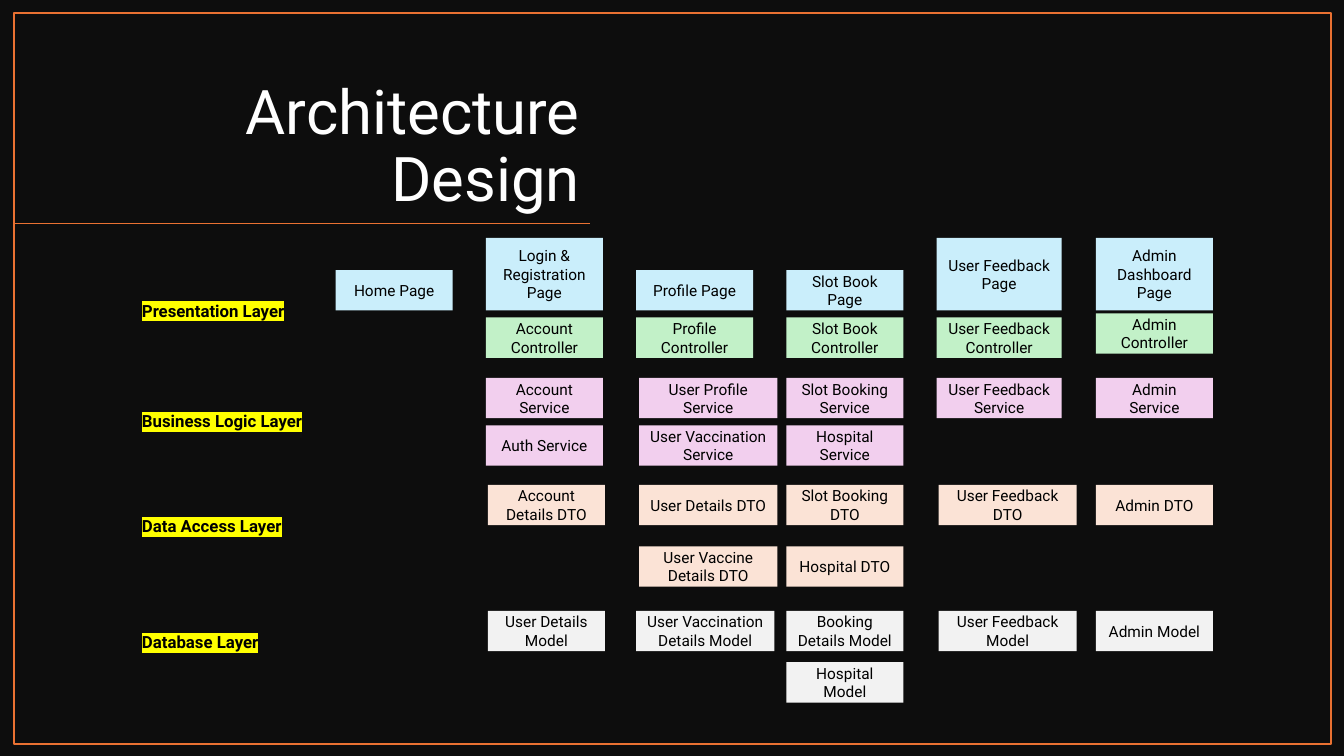
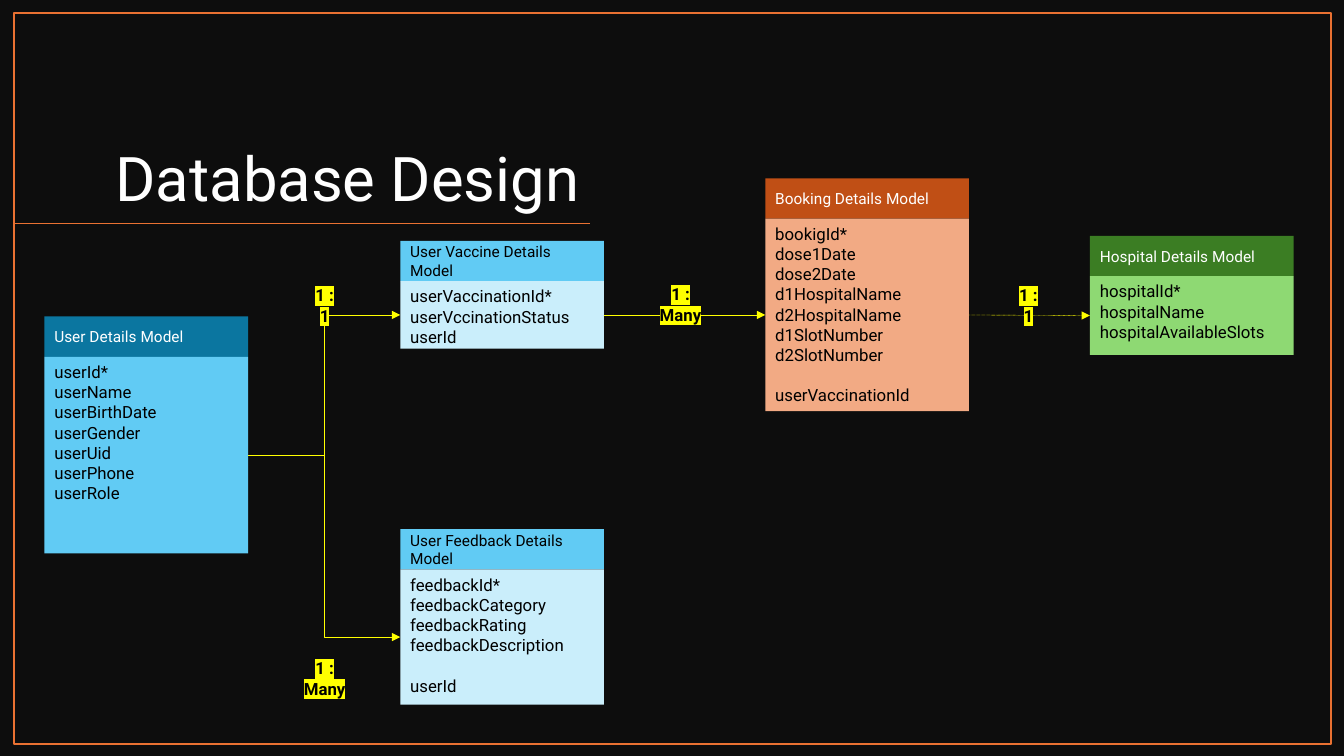
from lxml import etree
from pptx import Presentation
from pptx.dml.color import RGBColor
from pptx.enum.dml import MSO_LINE
from pptx.enum.shapes import MSO_CONNECTOR, MSO_SHAPE
from pptx.enum.text import MSO_ANCHOR, PP_ALIGN
from pptx.oxml.ns import qn
from pptx.util import Inches, Pt

RECT = MSO_SHAPE.RECTANGLE
STRAIGHT, ELBOW = MSO_CONNECTOR.STRAIGHT, MSO_CONNECTOR.ELBOW
DOTTED = MSO_LINE.ROUND_DOT
TOP, MIDDLE, BOTTOM = MSO_ANCHOR.TOP, MSO_ANCHOR.MIDDLE, MSO_ANCHOR.BOTTOM
LEFT, CENTER, RIGHT = PP_ALIGN.LEFT, PP_ALIGN.CENTER, PP_ALIGN.RIGHT

FONT = "Roboto"
BLACK, WHITE, DARK = "000000", "FFFFFF", "0D0D0D"
ORANGE, YELLOW = "E97132", "FFFF00"
NAVY, BLUE, PALE_BLUE = "0B76A0", "61CBF4", "CAEEFB"
RUST, PEACH = "C04F15", "F2AA84"
FOREST, GREEN = "3B7D23", "8ED973"
MINT, PINK, CREAM, GREY = "C2F1C8", "F2CFEE", "FBE3D6", "F2F2F2"

LEFT_SITE, RIGHT_SITE = 1, 3
BOX_HEIGHT = 0.4
HEADER_HEIGHT = 0.4
ENTITY_WIDTH = 2.02


def rgb(color):
    return RGBColor.from_string(color)


def write(shape, lines, size, color=BLACK, align=LEFT, anchor=TOP, bold=False):
    tf = shape.text_frame
    tf.word_wrap = True
    tf.vertical_anchor = anchor
    for i, line in enumerate(lines):
        p = tf.add_paragraph() if i else tf.paragraphs[0]
        p.add_run().text = line
        p.alignment = align
        p.font.name = FONT
        p.font.size = Pt(size)
        p.font.bold = bold
        p.font.color.rgb = rgb(color)
    return tf


def add_text(s, x, y, w, h, text, size, **style):
    tb = s.shapes.add_textbox(Inches(x), Inches(y), Inches(w), Inches(h))
    return write(tb, [text], size, **style)


def add_rect(s, x, y, w, h, fill=None, line=None):
    sp = s.shapes.add_shape(RECT, Inches(x), Inches(y), Inches(w), Inches(h))
    sp.shadow.inherit = False
    if fill:
        sp.fill.solid()
        sp.fill.fore_color.rgb = rgb(fill)
    else:
        sp.fill.background()
    if line:
        sp.line.color.rgb = rgb(line)
        sp.line.width = Pt(1)
    else:
        sp.line.fill.background()
    return sp


def add_line(s, kind, color, width, x1=0, y1=0, x2=0, y2=0):
    line = s.shapes.add_connector(
        kind, Inches(x1), Inches(y1), Inches(x2), Inches(y2))
    line.line.color.rgb = rgb(color)
    line.line.width = Pt(width)
    etree.SubElement(line._element.spPr, qn("a:effectLst"))
    return line


def add_label(s, x, y, w, h, text, align=LEFT):
    tf = add_text(s, x, y, w, h, text, 12, align=align, bold=True)
    r = tf.paragraphs[0].runs[0]
    highlight = etree.SubElement(r._r.get_or_add_rPr(), qn("a:highlight"))
    etree.SubElement(highlight, qn("a:srgbClr"), val=YELLOW)


def add_base_slide(prs, title):
    s = prs.slides.add_slide(prs.slide_layouts[6])
    s.background.fill.solid()
    s.background.fill.fore_color.rgb = rgb(DARK)
    tf = add_text(s, 0.92, 0.73, 4.93, 1.45, title, 44,
                  color=WHITE, align=RIGHT, anchor=BOTTOM)
    tf.paragraphs[0].line_spacing = 0.9
    add_line(s, STRAIGHT, ORANGE, 1, 5.85, 2.22, 0.14, 2.22)
    add_rect(s, 0.14, 0.13, 13.06, 7.25, line=ORANGE)
    return s


def make_columns(**changes):
    columns = {
        "home": (2.02, 1.16),
        "account": (3.51, 1.16),
        "profile": (5.0, 1.16),
        "slot": (6.49, 1.16),
        "feedback": (7.98, 1.24),
        "admin": (9.56, 1.16),
    }
    return columns | changes


def add_layer(s, x, y, name, name_top, columns, rows):
    for top, height, fill, cells in rows:
        for column, text in cells.items():
            left, width = columns[column]
            sp = add_rect(s, x + left, y + top, width, height, fill)
            write(sp, [text], 11, align=CENTER, anchor=MIDDLE)
    add_label(s, x, y + name_top, 2, 0.3, name)


def add_layers(s, x, y):
    narrow = make_columns()
    service = make_columns(profile=(5.03, 1.37))
    dto = make_columns(account=(3.53, 1.16), profile=(5.03, 1.37),
                       feedback=(8, 1.37))
    model = dto | {"profile": (5, 1.37)}
    add_layer(s, x, y, "Presentation Layer", 0.57, narrow, [
        (0, 0.72, PALE_BLUE, {
            "account": "Login & Registration Page",
            "feedback": "User Feedback Page",
            "admin": "Admin Dashboard Page"}),
        (0.32, BOX_HEIGHT, PALE_BLUE, {
            "home": "Home Page",
            "profile": "Profile Page",
            "slot": "Slot Book Page"}),
        (0.79, BOX_HEIGHT, MINT, {
            "account": "Account Controller",
            "profile": "Profile Controller",
            "slot": "Slot Book Controller",
            "feedback": "User Feedback Controller"}),
        (0.75, BOX_HEIGHT, MINT, {"admin": "Admin Controller"}),
    ])
    add_layer(s, x, y, "Business Logic Layer", 1.67, service, [
        (1.39, BOX_HEIGHT, PINK, {
            "account": "Account Service",
            "profile": "User Profile Service",
            "slot": "Slot Booking Service",
            "feedback": "User Feedback Service",
            "admin": "Admin Service"}),
        (1.86, BOX_HEIGHT, PINK, {
            "account": "Auth Service",
            "profile": "User Vaccination Service",
            "slot": "Hospital Service"}),
    ])
    add_layer(s, x, y, "Data Access Layer", 2.71, dto, [
        (2.45, BOX_HEIGHT, CREAM, {
            "account": "Account Details DTO",
            "profile": "User Details DTO",
            "slot": "Slot Booking DTO",
            "feedback": "User Feedback DTO",
            "admin": "Admin DTO"}),
        (3.06, BOX_HEIGHT, CREAM, {
            "profile": "User Vaccine Details DTO",
            "slot": "Hospital DTO"}),
    ])
    add_layer(s, x, y, "Database Layer", 3.86, model, [
        (3.7, BOX_HEIGHT, GREY, {
            "account": "User Details Model",
            "profile": "User Vaccination Details Model",
            "slot": "Booking Details Model",
            "feedback": "User Feedback Model",
            "admin": "Admin Model"}),
        (4.21, BOX_HEIGHT, GREY, {"slot": "Hospital Model"}),
    ])


def add_entity(s, x, y, height, name, fields, colors, foreign_key=None):
    header_fill, body_fill, header_color = colors
    header = add_rect(s, x, y, ENTITY_WIDTH, HEADER_HEIGHT, header_fill)
    write(header, [name], 11, color=header_color, anchor=MIDDLE)
    body = add_rect(s, x, y + HEADER_HEIGHT, ENTITY_WIDTH, height, body_fill)
    lines = fields + [foreign_key] if foreign_key else fields
    tf = write(body, lines, 12)
    if foreign_key:
        tf.paragraphs[-1].space_before = Pt(14.5)
    return body


def add_relation(s, kind, source, target):
    line = add_line(s, kind, YELLOW, 0.25)
    line.begin_connect(source, RIGHT_SITE)
    line.end_connect(target, LEFT_SITE)
    line.line.dash_style = DOTTED
    ln = line.line._get_or_add_ln()
    etree.SubElement(ln, qn("a:tailEnd"), type="triangle")


def add_cardinality(s, center, y, text, width):
    add_label(s, center - width / 2, y, width, 0.5, text, CENTER)


def add_entities(s, x, y):
    light_blue = (BLUE, PALE_BLUE, BLACK)
    second = x + 3.53
    user = add_entity(
        s, x, y + 1.37, 1.95, "User Details Model",
        ["userId*", "userName", "userBirthDate", "userGender", "userUid",
         "userPhone", "userRole"], (NAVY, BLUE, WHITE))
    vaccine = add_entity(
        s, second, y + 0.62, 0.67, "User Vaccine Details Model",
        ["userVaccinationId*", "userVccinationStatus", "userId"], light_blue)
    booking = add_entity(
        s, x + 7.15, y, 1.91, "Booking Details Model",
        ["bookigId*", "dose1Date", "dose2Date", "d1HospitalName",
         "d2HospitalName", "d1SlotNumber", "d2SlotNumber"],
        (RUST, PEACH, WHITE), "userVaccinationId")
    hospital = add_entity(
        s, x + 10.37, y + 0.57, 0.78, "Hospital Details Model",
        ["hospitalId*", "hospitalName", "hospitalAvailableSlots"],
        (FOREST, GREEN, WHITE))
    feedback = add_entity(
        s, second, y + 3.48, 1.34, "User Feedback Details Model",
        ["feedbackId*", "feedbackCategory", "feedbackRating",
         "feedbackDescription"], light_blue, "userId")

    for kind, source, target in [
        (ELBOW, user, vaccine),
        (ELBOW, user, feedback),
        (STRAIGHT, vaccine, booking),
        (STRAIGHT, booking, hospital),
    ]:
        add_relation(s, kind, source, target)

    for center, top, text, width in [
        (2.78, 1.01, "1 : 1", 0.45),
        (6.31, 1, "1 : Many", 0.7),
        (9.76, 1.01, "1 : 1", 0.45),
        (2.78, 4.71, "1 : Many", 0.7),
    ]:
        add_cardinality(s, x + center, y + top, text, width)


def main():
    prs = Presentation()
    prs.slide_width, prs.slide_height = Inches(13.33), Inches(7.5)
    add_layers(add_base_slide(prs, "Architecture Design"), 1.31, 2.36)
    add_entities(add_base_slide(prs, "Database Design"), 0.44, 1.77)
    prs.save("out.pptx")


if __name__ == "__main__":
    main()
